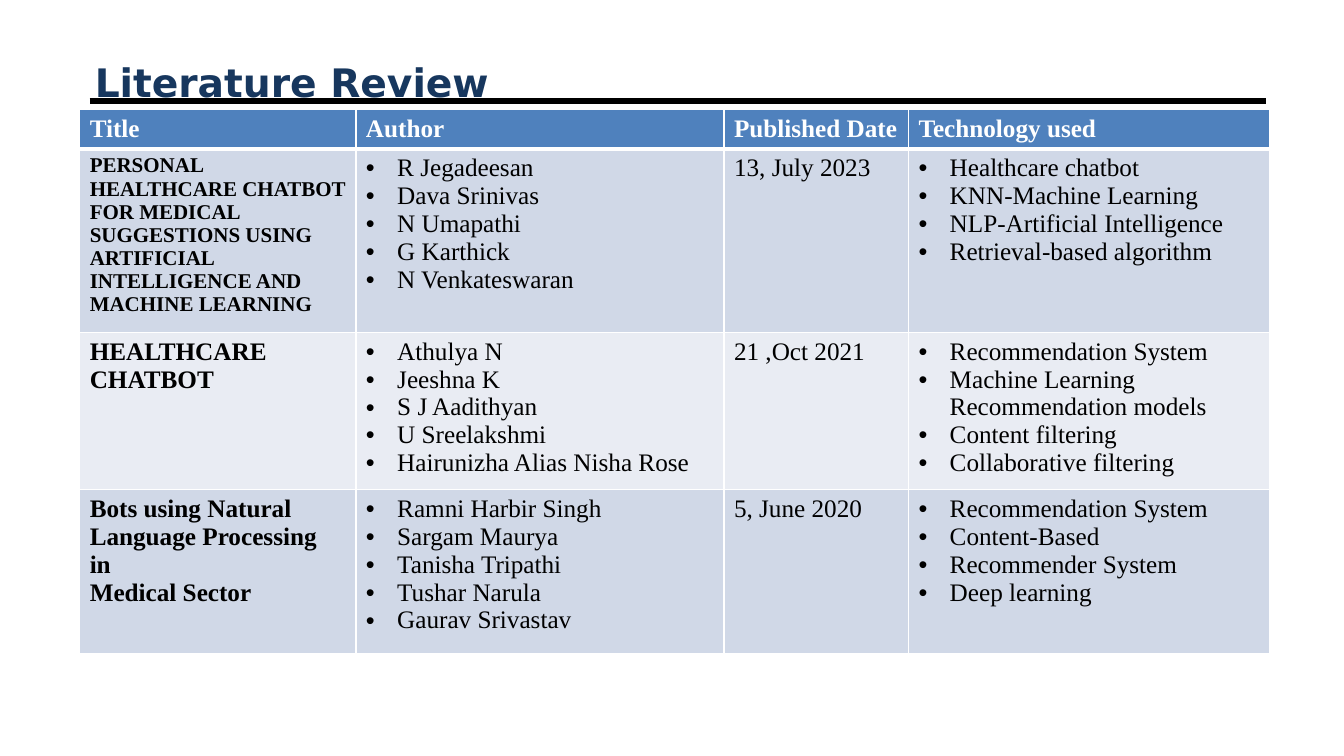
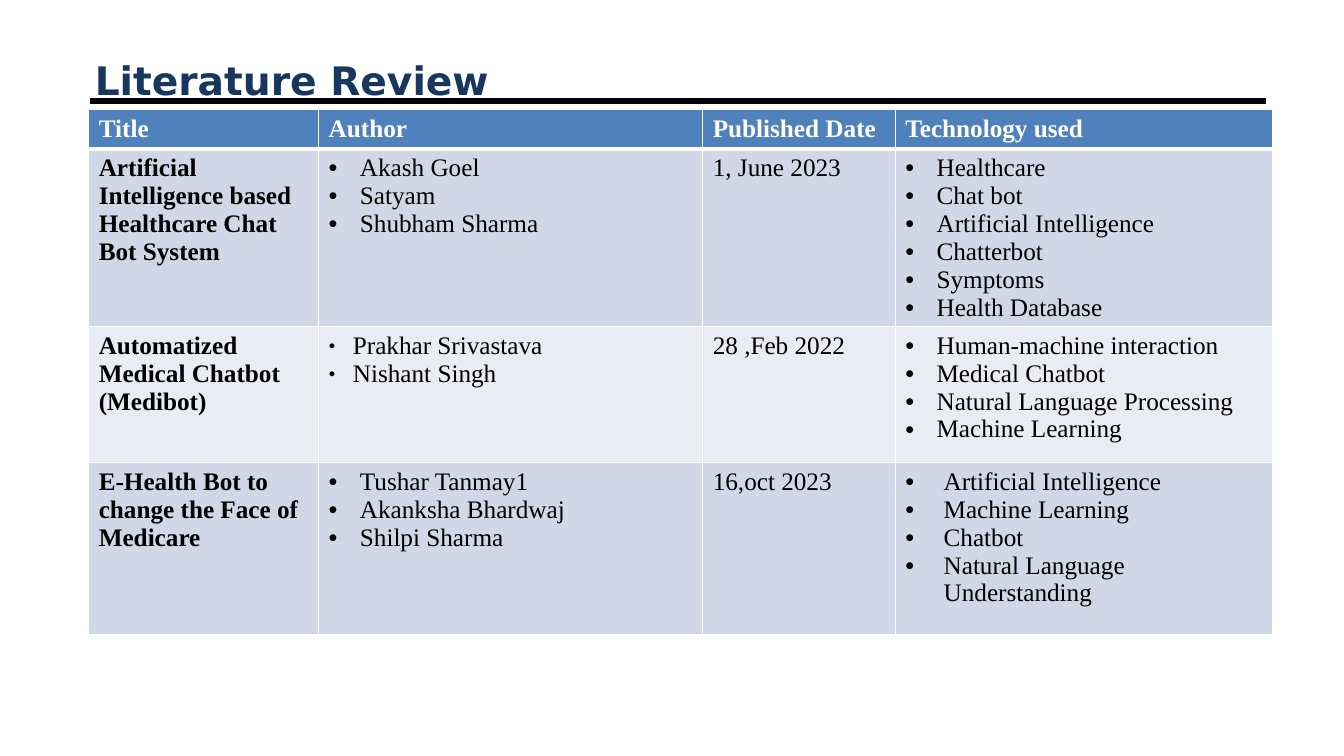
from dataclasses import dataclass

from lxml.etree import SubElement
from pptx import Presentation
from pptx.dml.color import RGBColor
from pptx.enum.shapes import MSO_CONNECTOR
from pptx.enum.text import MSO_ANCHOR, PP_ALIGN
from pptx.oxml.ns import qn
from pptx.util import Inches, Pt

NAVY = RGBColor(0x17, 0x37, 0x5E)
BLUE = RGBColor(0x4F, 0x81, 0xBD)
PALE = RGBColor(0xE9, 0xEC, 0xF3)
MIST = RGBColor(0xD0, 0xD8, 0xE7)
BLACK = RGBColor(0, 0, 0)
WHITE = RGBColor(255, 255, 255)
HEADS = ["Title", "Author", "Published Date", "Technology used"]


@dataclass
class Cell:
    """Text of one table cell, a paragraph a line, with bullets if indented."""
    text: str
    indent: float = 0
    size: int = 18
    mark: str = "•"
    scale: int = 100
    bold: bool = False


def name(text, size=18):
    """Return a bold cell for a paper's name."""
    return Cell(text, size=size, bold=True)


def items(text, indent=0.31, **look):
    """Return a cell with a bulleted list."""
    return Cell(text, indent, **look)


class Deck:
    """Style of the deck and the slide in work."""

    def __init__(self):
        """Start an empty wide deck."""
        self.file = Presentation()
        self.file.slide_width = Inches(13.33)
        self.file.slide_height = Inches(7.5)
        self.slide = None

    def page(self, text, top, height):
        """Add a slide with its title and rule."""
        self.slide = self.file.slides.add_slide(self.file.slide_layouts[5])
        title = self.slide.shapes.title
        title.left, title.top = Inches(0.84), Inches(top)
        title.width, title.height = Inches(11.66), Inches(height)
        frame = title.text_frame
        frame.text = text
        frame.vertical_anchor = MSO_ANCHOR.MIDDLE
        para = frame.paragraphs[0]
        para.alignment = PP_ALIGN.LEFT
        self.font(para, "DejaVu Sans", 28, NAVY, True)
        self.rule()

    def rule(self):
        """Draw the black rule behind the title."""
        shapes = self.slide.shapes
        line = shapes.add_connector(MSO_CONNECTOR.STRAIGHT, Inches(0.89),
                                    Inches(1), Inches(12.56), Inches(1))
        line.line.color.rgb = BLACK
        line.line.width = Pt(4.5)
        SubElement(line.element.spPr, qn("a:effectLst"))
        shapes.element.insert(2, line.element)

    def font(self, para, face, size, color, bold):
        """Set the font of a paragraph."""
        font = para.font
        font.name, font.size, font.bold = face, Pt(size), bold
        font.color.rgb = color

    def bullet(self, para, cell):
        """Give a paragraph a hanging bullet."""
        props = para._p.get_or_add_pPr()
        props.set("marL", str(Inches(cell.indent)))
        props.set("indent", str(-Inches(cell.indent)))
        color = SubElement(props, qn("a:buClr"))
        SubElement(color, qn("a:srgbClr"), val=str(BLACK))
        SubElement(props, qn("a:buSzPct"), val=str(cell.scale * 1000))
        SubElement(props, qn("a:buFont"), typeface="Arial")
        SubElement(props, qn("a:buChar"), char=cell.mark)

    def border(self, box, row):
        """Draw white cell borders, thick below the head row."""
        props = box._tc.get_or_add_tcPr()
        thick = {0: "lnB", 1: "lnT"}.get(row)
        for side in ("lnL", "lnR", "lnT", "lnB"):
            width = Pt(3 if side == thick else 0.96)
            line = SubElement(props, qn("a:" + side), w=str(width))
            fill = SubElement(line, qn("a:solidFill"))
            SubElement(fill, qn("a:srgbClr"), val=str(WHITE))

    def fill(self, box, cell, row):
        """Write and paint one table cell."""
        self.border(box, row)
        box.fill.solid()
        box.fill.fore_color.rgb = (MIST if row % 2 else PALE) if row else BLUE
        box.text = cell.text
        for para in box.text_frame.paragraphs:
            if cell.indent:
                self.bullet(para, cell)
            self.font(para, "Times New Roman", cell.size,
                      BLACK if row else WHITE, cell.bold)

    def table(self, left, widths, heights, rows):
        """Add a table of papers under the shared heads."""
        rows = [[name(head) for head in HEADS]] + rows
        table = self.slide.shapes.add_table(
            len(rows), len(widths), Inches(left), Inches(1.09),
            Inches(sum(widths)), Inches(sum(heights))).table
        for col, width in zip(table.columns, widths):
            col.width = Inches(width)
        for line, height in zip(table.rows, heights):
            line.height = Inches(height)
        for row, cells in enumerate(rows):
            for col, cell in enumerate(cells):
                self.fill(table.cell(row, col), cell, row)


def main():
    """Build both review slides."""
    deck = Deck()
    deck.page("Literature Review", 0.55, 0.53)
    deck.table(0.79, [2.74, 3.65, 1.83, 3.58], [0.39, 1.82, 1.56, 1.62], [
        [name("PERSONAL HEALTHCARE CHATBOT FOR MEDICAL SUGGESTIONS USING "
              "ARTIFICIAL INTELLIGENCE AND MACHINE LEARNING", 15),
         items("R Jegadeesan\nDava Srinivas\nN Umapathi\nG Karthick\n"
               "N Venkateswaran"),
         Cell("13, July 2023"),
         items("Healthcare chatbot\nKNN-Machine Learning\n"
               "NLP-Artificial Intelligence\nRetrieval-based algorithm")],
        [name("HEALTHCARE CHATBOT"),
         items("Athulya N\nJeeshna K\nS J Aadithyan\nU Sreelakshmi\n"
               "Hairunizha Alias Nisha Rose"),
         Cell("21 ,Oct 2021"),
         items("Recommendation System\n"
               "Machine Learning Recommendation models\n"
               "Content filtering\nCollaborative filtering")],
        [name("Bots using Natural Language Processing\vin\nMedical Sector"),
         items("Ramni Harbir Singh\nSargam Maurya\nTanisha Tripathi\n"
               "Tushar Narula\nGaurav Srivastav"),
         Cell("5, June 2020"),
         items("Recommendation System\nContent-Based\n"
               "Recommender System\nDeep learning")],
    ])

    deck.page("Literature Review", 0.51, 0.57)
    deck.table(0.88, [2.28, 3.81, 1.91, 3.74], [0.39, 1.75, 1.35, 1.7], [
        [name("Artificial Intelligence based Healthcare Chat Bot System"),
         items("Akash Goel\nSatyam\nShubham Sharma"),
         Cell("1, June 2023"),
         items("Healthcare\nChat bot\nArtificial Intelligence\n"
               "Chatterbot\nSymptoms\nHealth Database")],
        [name("Automatized Medical Chatbot (Medibot)"),
         items("Prakhar Srivastava\nNishant Singh", 0.24, mark="●", scale=45),
         Cell("28 ,Feb 2022"),
         items("Human-machine interaction\nMedical Chatbot\n"
               "Natural Language Processing\nMachine Learning")],
        [name("E-Health Bot to change the Face of Medicare"),
         items("Tushar Tanmay1\nAkanksha Bhardwaj\nShilpi Sharma"),
         Cell("16,oct 2023"),
         items("Artificial Intelligence\nMachine Learning\nChatbot\n"
               "Natural Language Understanding", 0.38)],
    ])
    deck.file.save("out.pptx")


if __name__ == "__main__":
    main()
